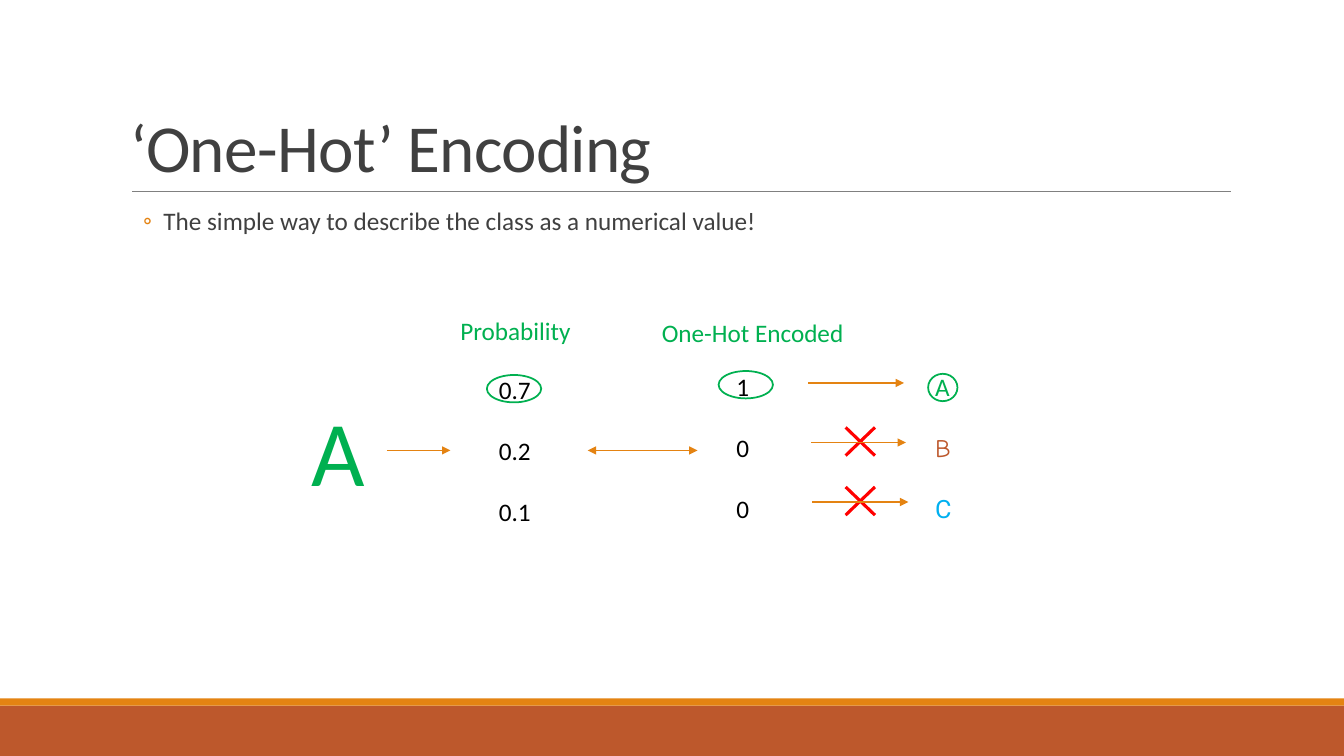
import pptx
import pptx.util
import pptx.dml.color
import pptx.enum.shapes
import pptx.enum.text
import pptx.oxml.ns
import lxml.etree

Cm, Pt = pptx.util.Cm, pptx.util.Pt
SHAPE = pptx.enum.shapes.MSO_SHAPE

COLORS = {"rust": "BD582C", "orange": "E48312", "grey": "808080", "dark": "404040",
          "green": "00B050", "black": "000000", "blue": "00B0F0", "red": "FF0000"}

TITLE = "‘One-Hot’ Encoding"
BODY = "The simple way to describe the class as a numerical value!"

# left, top, width, height in cm; colour
BARS = [(0, 17.78, 33.87, 1.27, "rust"), (0, 17.6, 33.87, 0.18, "orange")]
HEADERS = [("Probability", 11.35, 7.82, 3.91), ("One-Hot Encoded", 16.43, 7.87, 5.26)]
# left, top, width, rows of (text, font, colour)
COLUMNS = [
    (12.32, 9.3, 3.94, [(t, "Calibri", "black") for t in ("0.7", "0.2", "0.1")]),
    (18.31, 9.22, 3.94, [(t, "Calibri", "black") for t in ("1", "0", "0")]),
    (23.32, 9.22, 2.64, [("A", "Calibri", "green"), ("B", "Comic Neue", "rust"),
                         ("C", "Roboto", "blue")]),
]
RINGS = [(12.27, 9.45, 1.37), (18.11, 9.35, 1.37), (23.39, 9.42, 0.74)]
RING_HEIGHT = 0.69
CROSS_LEFT, CROSS_WIDTH, CROSS_HEIGHT = 21.31, 0.74, 0.71
CROSS_TOPS = [10.77, 12.27]
# start x, end x, y, ends that carry a head
ARROWS = [
    (9.75, 11.35, 11.35, ["tailEnd"]),
    (20.37, 22.78, 9.65, ["tailEnd"]),
    (20.45, 22.83, 11.15, ["tailEnd"]),
    (20.47, 22.89, 12.65, ["tailEnd"]),
    (14.81, 17.58, 11.35, ["headEnd", "tailEnd"]),
]

prs = pptx.Presentation()
prs.slide_width, prs.slide_height = Cm(33.87), Cm(19.05)
slide = prs.slides.add_slide(prs.slide_layouts[6])


def rgb(name):
    return pptx.dml.color.RGBColor.from_string(COLORS[name])


def add_xml(parent, tag, **attrs):
    return lxml.etree.SubElement(parent, pptx.oxml.ns.qn(tag), **attrs)


def add_text(left, top, width, height, rows, size, gap=0, wrap=True):
    """Place a text box with one paragraph per (text, font, colour) row."""
    box = slide.shapes.add_textbox(Cm(left), Cm(top), Cm(width), Cm(height))
    tf = box.text_frame
    tf.word_wrap = wrap
    tf.text = "\n".join(row[0] for row in rows)
    for p, (_, font, color) in zip(tf.paragraphs, rows):
        p.space_after = Pt(gap)
        f = p.runs[0].font
        f.name, f.size = font, Pt(size)
        f.color.rgb = rgb(color)
    return tf


def add_line(x1, y1, x2, y2, color, weight, heads=()):
    line = slide.shapes.add_connector(pptx.enum.shapes.MSO_CONNECTOR.STRAIGHT,
                                      Cm(x1), Cm(y1), Cm(x2), Cm(y2))
    line.line.color.rgb = rgb(color)
    line.line.width = Pt(weight)
    for end in heads:
        add_xml(line.line._get_or_add_ln(), "a:" + end, type="triangle")
    add_xml(line._element.spPr, "a:effectLst")


def add_bar(left, top, width, height, color):
    sp = slide.shapes.add_shape(SHAPE.RECTANGLE, Cm(left), Cm(top), Cm(width), Cm(height))
    sp.shadow.inherit = False
    sp.fill.solid()
    sp.fill.fore_color.rgb = rgb(color)
    sp.line.fill.background()


def add_ring(left, top, width):
    sp = slide.shapes.add_shape(SHAPE.OVAL, Cm(left), Cm(top), Cm(width), Cm(RING_HEIGHT))
    sp.shadow.inherit = False
    sp.fill.background()
    sp.line.color.rgb = rgb("green")
    sp.line.width = Pt(1.25)


def add_title():
    tf = add_text(3.05, 0.79, 27.94, 4.04, [(TITLE, "Calibri", "dark")], 48)
    tf.vertical_anchor = pptx.enum.text.MSO_ANCHOR.BOTTOM
    p = tf.paragraphs[0]
    p.line_spacing = 0.85
    p.runs[0].font._element.set("spc", "-50")


def add_body():
    tf = add_text(3.05, 5.13, 16.69, 1.02, [(BODY, "Calibri", "dark")], 18, gap=4)
    tf.margin_left = tf.margin_right = 0
    p = tf.paragraphs[0]
    p.line_spacing, p.space_before = 0.9, Pt(2)
    pPr = p._p.get_or_add_pPr()
    pPr.set("marL", str(Cm(1.07)))
    pPr.set("indent", str(Cm(-0.51)))
    add_xml(add_xml(pPr, "a:buClr"), "a:srgbClr", val=COLORS["orange"])
    add_xml(pPr, "a:buFont", typeface="Calibri")
    add_xml(pPr, "a:buChar", char="◦")


for bar in BARS:
    add_bar(*bar)
add_line(3.33, 4.83, 31.01, 4.83, "grey", 0.5)
add_title()
add_body()

add_text(7.59, 9.8, 1.88, 3.07, [("A", "Calibri", "green")], 66, wrap=False)
for text, left, top, width in HEADERS:
    add_text(left, top, width, 1.02, [(text, "Calibri", "green")], 18)
for left, top, width, rows in COLUMNS:
    add_text(left, top, width, 4.11, rows, 18, gap=22)
for ring in RINGS:
    add_ring(*ring)
for top in CROSS_TOPS:
    right, bottom = CROSS_LEFT + CROSS_WIDTH, top + CROSS_HEIGHT
    add_line(CROSS_LEFT, top, right, bottom, "red", 2.25)
    add_line(CROSS_LEFT, bottom, right, top, "red", 2.25)
for x1, x2, y, heads in ARROWS:
    add_line(x1, y, x2, y, "orange", 1, heads)

prs.save("out.pptx")
